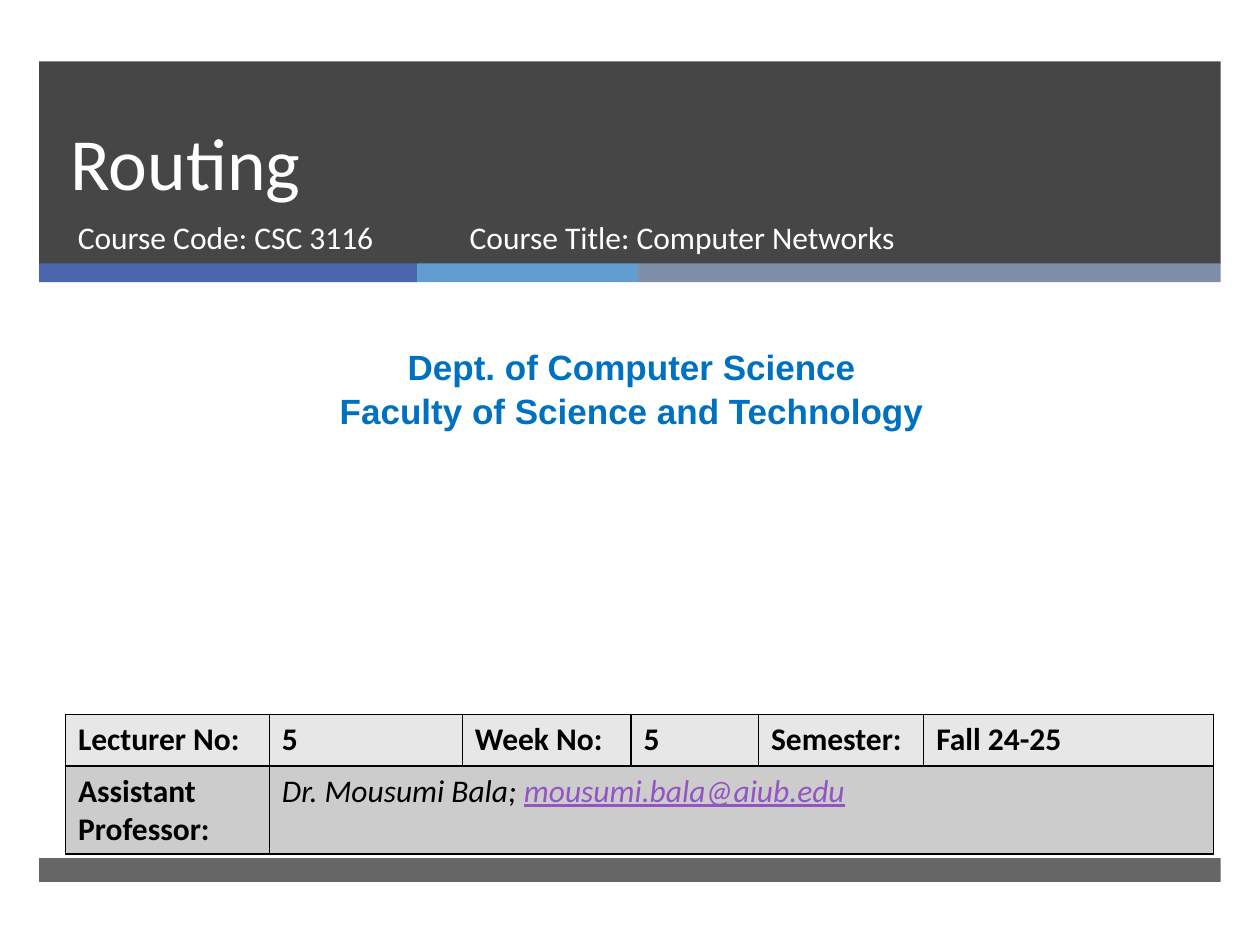
"""Build the title slide of a computer networks lecture on routing."""
from dataclasses import dataclass
from itertools import accumulate

from lxml import etree
from pptx import Presentation
from pptx import util as u
from pptx.dml.color import RGBColor
from pptx.enum import shapes, text
from pptx.oxml import ns

WHITE = RGBColor(0xFF, 0xFF, 0xFF)
BLACK = RGBColor(0x00, 0x00, 0x00)
CHARCOAL = RGBColor(0x26, 0x26, 0x26)
INDIGO = RGBColor(0x4A, 0x66, 0xAC)
SKY = RGBColor(0x62, 0x9D, 0xD1)
SLATE = RGBColor(0x7F, 0x8F, 0xA9)
DEPARTMENT_BLUE = RGBColor(0x00, 0x70, 0xC0)
EMAIL_PURPLE = RGBColor(0x94, 0x54, 0xC3)
LIGHT_ROW = RGBColor(0xE7, 0xE7, 0xE7)
DARK_ROW = RGBColor(0xCC, 0xCC, 0xCC)

BAND_LEFT, BAND_WIDTH = 0.79, 23.82
STRIPE_WIDTHS = (7.62, 4.45, 11.75)
STRIPE_LEFTS = accumulate(STRIPE_WIDTHS[:-1], initial=BAND_LEFT)
COLUMN_WIDTHS = (4.11, 3.89, 3.4, 2.57, 3.33, 5.84)
ROW_HEIGHTS = (1.04, 1.78)
LECTURE_FACTS = ("Lecturer No:", "5", "Week No:", "5", "Semester:", "Fall 24-25")


@dataclass(frozen=True)
class Band:
    left: float
    top: float
    width: float
    height: float
    color: RGBColor
    opacity: int = 100


@dataclass(frozen=True)
class Label:
    left: float
    top: float
    width: float
    height: float
    lines: tuple[str, ...]
    size: int
    color: RGBColor = WHITE
    font: str = "Calibri"
    bold: bool = False
    align: text.PP_ALIGN = text.PP_ALIGN.LEFT
    anchor: text.MSO_ANCHOR = text.MSO_ANCHOR.TOP
    spacing: float | u.Length | None = None


BANDS = (
    Band(BAND_LEFT, 1.24, BAND_WIDTH, 4.08, CHARCOAL, 85),
    *(Band(left, 5.31, width, 0.38, color)
      for left, width, color in zip(STRIPE_LEFTS, STRIPE_WIDTHS, (INDIGO, SKY, SLATE))),
    Band(BAND_LEFT, 17.3, BAND_WIDTH, 0.48, CHARCOAL, 70),
)
LABELS = (
    Label(1.17, 1.24, 21.69, 3.02, ("Routing",), 42,
          anchor=text.MSO_ANCHOR.BOTTOM, spacing=u.Pt(46)),
    Label(1.32, 4.27, 7.75, 1.35, ("Course Code: CSC 3116",), 18),
    Label(9.22, 4.27, 11.56, 1.35, ("Course Title: Computer Networks",), 18),
    Label(0.2, 6.81, 25.07, 1.96,
          ("Dept. of Computer Science", "Faculty of Science and Technology"), 20,
          DEPARTMENT_BLUE, "Arial", True, text.PP_ALIGN.CENTER, spacing=1.04),
)


def style_font(font, size: int, color: RGBColor, name: str = "Calibri",
               bold: bool = False, italic: bool = False) -> None:
    font.name, font.size = name, u.Pt(size)
    font.bold, font.italic = bold, italic
    font.color.rgb = color


def draw_band(slide, band: Band) -> None:
    bar = slide.shapes.add_shape(
        shapes.MSO_SHAPE.RECTANGLE, u.Cm(band.left), u.Cm(band.top),
        u.Cm(band.width), u.Cm(band.height))
    bar.shadow.inherit = False
    bar.fill.solid()
    bar.fill.fore_color.rgb = band.color
    bar.line.fill.background()
    if band.opacity < 100:
        tone = bar.fill._xPr.find(".//" + ns.qn("a:srgbClr"))
        etree.SubElement(tone, ns.qn("a:alpha"), val=str(band.opacity * 1000))


def draw_label(slide, label: Label) -> None:
    frame = slide.shapes.add_textbox(
        u.Cm(label.left), u.Cm(label.top), u.Cm(label.width), u.Cm(label.height)).text_frame
    frame.word_wrap = True
    frame.vertical_anchor = label.anchor
    frame.text = "\n".join(label.lines)
    for paragraph in frame.paragraphs:
        paragraph.alignment = label.align
        paragraph.line_spacing = label.spacing
        style_font(paragraph.font, label.size, label.color, label.font, label.bold)


def outline_cell(cell) -> None:
    properties = cell._tc.get_or_add_tcPr()
    for position, side in enumerate(("a:lnL", "a:lnR", "a:lnT", "a:lnB")):
        border = etree.Element(ns.qn(side), w=str(u.Pt(1)))
        fill = etree.SubElement(border, ns.qn("a:solidFill"))
        etree.SubElement(fill, ns.qn("a:srgbClr"), val=str(BLACK))
        properties.insert(position, border)


def draw_lecture_table(slide) -> None:
    table = slide.shapes.add_table(
        len(ROW_HEIGHTS), len(COLUMN_WIDTHS), u.Cm(1.32), u.Cm(14.4),
        u.Cm(sum(COLUMN_WIDTHS)), u.Cm(sum(ROW_HEIGHTS))).table
    for column, width in zip(table.columns, COLUMN_WIDTHS):
        column.width = u.Cm(width)
    for row, height, color in zip(table.rows, ROW_HEIGHTS, (LIGHT_ROW, DARK_ROW)):
        row.height = u.Cm(height)
        for cell in row.cells:
            cell.fill.solid()
            cell.fill.fore_color.rgb = color
            outline_cell(cell)

    headings = [(table.cell(0, i), fact) for i, fact in enumerate(LECTURE_FACTS)]
    headings.append((table.cell(1, 0), "Assistant Professor:"))
    for cell, heading in headings:
        cell.text = heading
        style_font(cell.text_frame.paragraphs[0].font, 18, BLACK, bold=True)

    lecturer = table.cell(1, 1)
    lecturer.merge(table.cell(1, len(COLUMN_WIDTHS) - 1))
    contact = lecturer.text_frame.paragraphs[0]
    style_font(contact.font, 18, BLACK, italic=True)
    contact.add_run().text = "Dr. Mousumi Bala; "
    email = contact.add_run()
    email.text = "mousumi.bala@aiub.edu"
    email.font.color.rgb = EMAIL_PURPLE
    email.font.underline = True


def main() -> None:
    deck = Presentation()
    deck.slide_width, deck.slide_height = u.Cm(25.4), u.Cm(19.05)
    slide = deck.slides.add_slide(deck.slide_layouts[6])
    for band in BANDS:
        draw_band(slide, band)
    for label in LABELS:
        draw_label(slide, label)
    draw_lecture_table(slide)
    deck.save("out.pptx")


if __name__ == "__main__":
    main()
